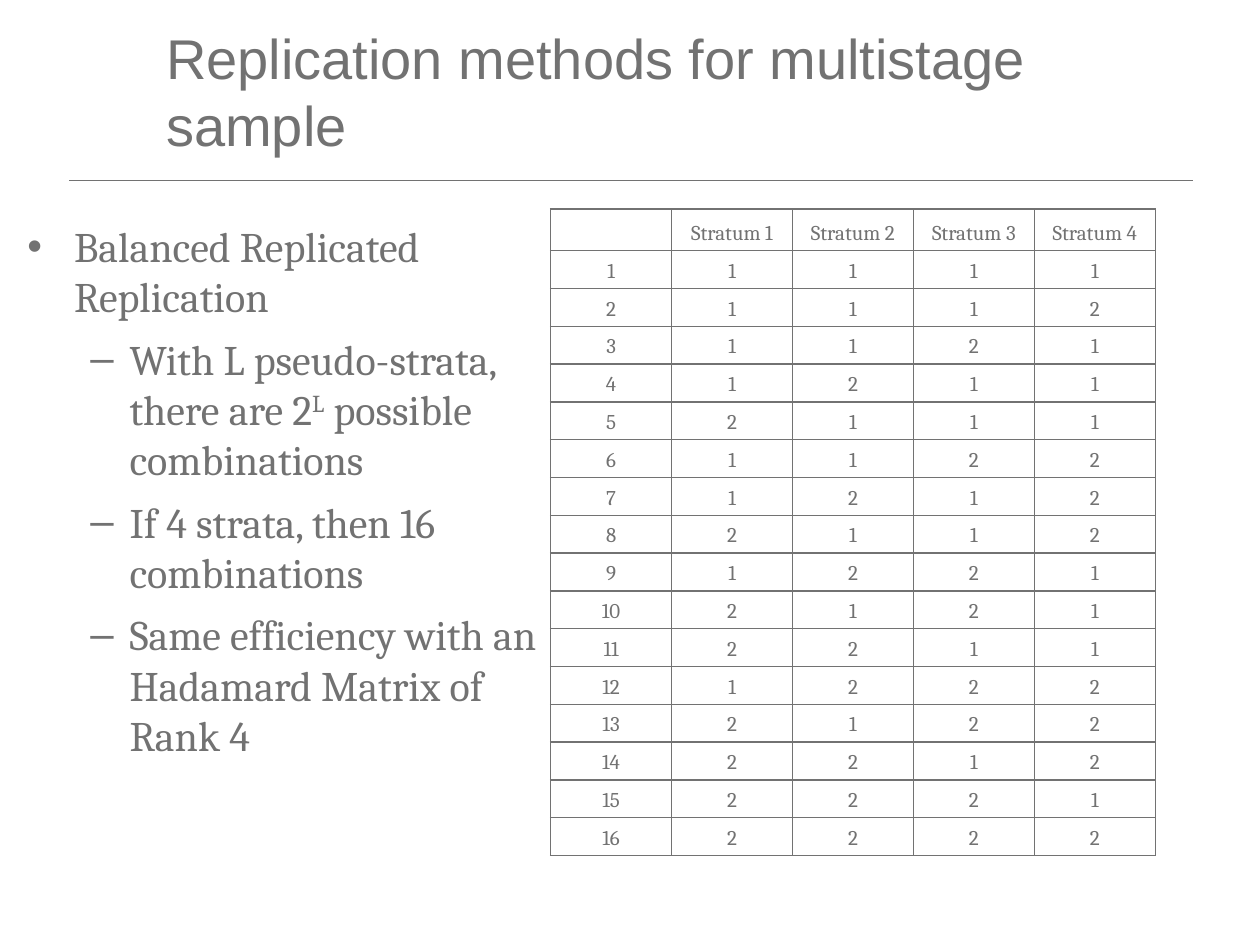
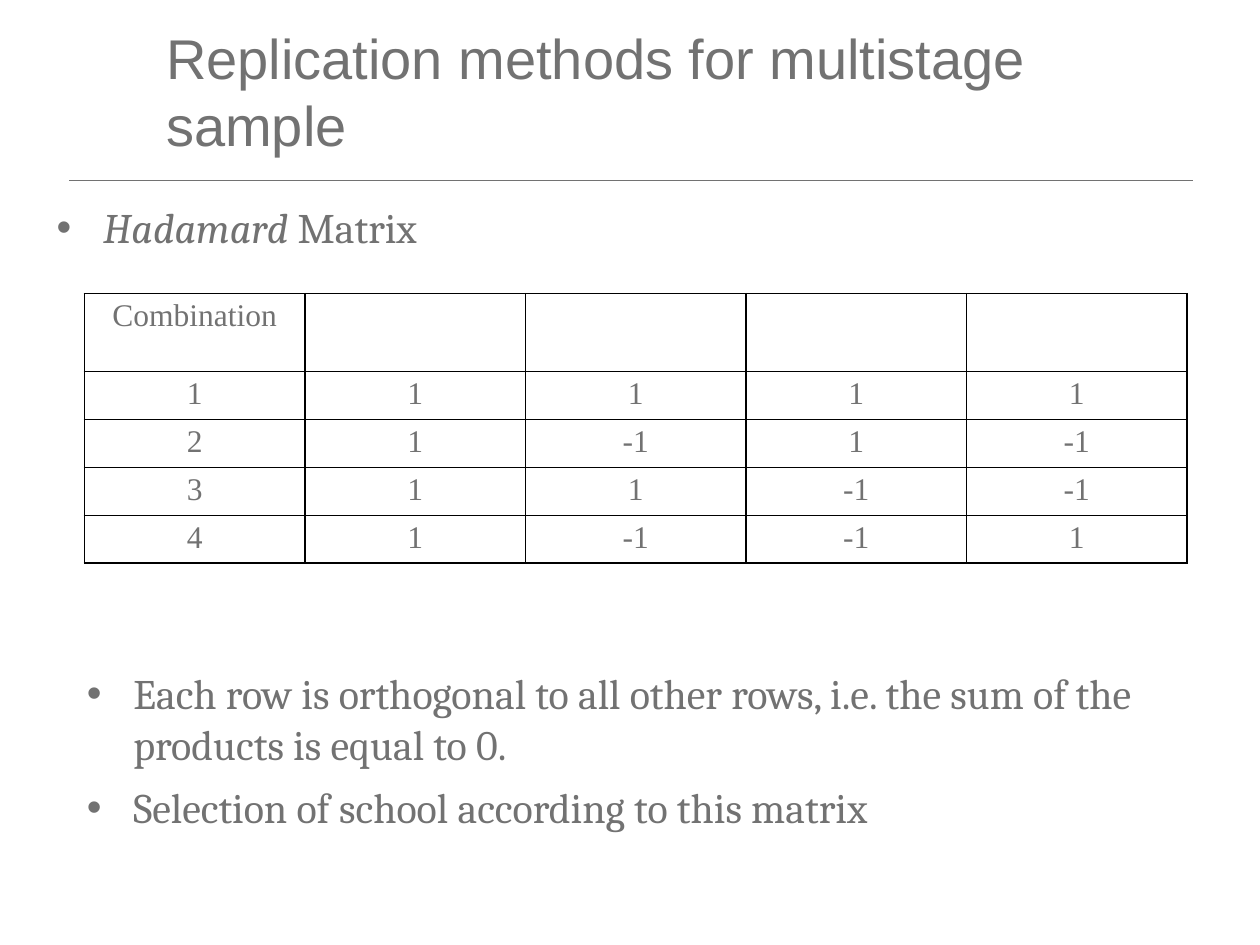
from itertools import product

from lxml.etree import SubElement
from pptx import Presentation
from pptx.dml.color import RGBColor
from pptx.enum.shapes import MSO_CONNECTOR
from pptx.enum.text import MSO_ANCHOR, PP_ALIGN
from pptx.oxml.ns import qn
from pptx.util import Inches, Pt

GRAY = "727272"
BLACK = "000000"
WHITE = "FFFFFF"
TITLE = "Replication methods for multistage sample"
LEVELS = (
    {"symbol": "•", "margin": 0.37, "hanging": 0.37, "space": 7.6},
    {"symbol": "–", "margin": 0.81, "hanging": 0.31, "space": 6.8},
)


def color(value):
    return RGBColor.from_string(value)


class Deck:
    title_font = "Arial"
    body_font = "Cambria"

    def __init__(self):
        self.presentation = Presentation()
        self.presentation.slide_width = Inches(10)
        self.presentation.slide_height = Inches(7.5)
        self.slide = None

    def add_slide(self, title):
        self.slide = self.presentation.slides.add_slide(self.presentation.slide_layouts[6])
        background = self.slide.background.fill
        background.solid()
        background.fore_color.rgb = color(WHITE)
        self.rule(0.55, 1.43, 8.92)
        frame = self.text_frame(1.22, 0.32, 8.58, 0.8, MSO_ANCHOR.MIDDLE)
        frame.text = title
        self.format_runs(frame.paragraphs[0], self.title_font, 32)

    def rule(self, left, top, width):
        line = self.slide.shapes.add_connector(
            MSO_CONNECTOR.STRAIGHT, Inches(left), Inches(top), Inches(left + width), Inches(top))
        line.line.color.rgb = color(GRAY)
        line.line.width = Pt(0.5)
        SubElement(line._element.spPr, qn("a:effectLst"))

    def text_frame(self, left, top, width, height, anchor=MSO_ANCHOR.TOP):
        box = self.slide.shapes.add_textbox(
            Inches(left), Inches(top), Inches(width), Inches(height))
        box.text_frame.word_wrap = True
        box.text_frame.vertical_anchor = anchor
        return box.text_frame

    def format_runs(self, paragraph, font, size):
        for run in paragraph.runs:
            run.font.name = font
            run.font.size = Pt(size)
            run.font.color.rgb = color(GRAY)

    def bullets(self, left, top, width, height, items):
        frame = self.text_frame(left, top, width, height)
        for index, (level, *parts) in enumerate(items):
            paragraph = frame.add_paragraph() if index else frame.paragraphs[0]
            for text, style in parts:
                run = paragraph.add_run()
                run.text = text
                if style == "italic":
                    run.font.italic = True
                if style == "superscript":
                    run._r.get_or_add_rPr().set("baseline", "30000")
            self.format_runs(paragraph, self.body_font, 24)
            self.bullet(paragraph, level)

    def bullet(self, paragraph, level):
        style = LEVELS[level]
        paragraph.level = level
        paragraph.space_before = Pt(style["space"])
        properties = paragraph._p.get_or_add_pPr()
        properties.set("marL", str(Inches(style["margin"])))
        properties.set("indent", str(-Inches(style["hanging"])))
        bullet_color = SubElement(properties, qn("a:buClr"))
        SubElement(bullet_color, qn("a:srgbClr"), val=GRAY)
        SubElement(properties, qn("a:buFont"), typeface="Arial")
        SubElement(properties, qn("a:buChar"), char=style["symbol"])

    def table(self, left, top, column_width, header_height, row_height, rows,
              font, size, border, anchor):
        columns = len(rows[0])
        height = header_height + row_height * (len(rows) - 1)
        table = self.slide.shapes.add_table(
            len(rows), columns, Inches(left), Inches(top),
            Inches(column_width * columns), Inches(height)).table
        table.first_row = table.horz_banding = False
        for column in table.columns:
            column.width = Inches(column_width)
        for index, values in enumerate(rows):
            table.rows[index].height = Inches(row_height if index else header_height)
            for cell, value in zip(table.rows[index].cells, values):
                cell.text = str(value)
                cell.vertical_anchor = anchor
                cell.margin_top = cell.margin_bottom = Inches(0.04)
                paragraph = cell.text_frame.paragraphs[0]
                paragraph.alignment = PP_ALIGN.CENTER
                self.format_runs(paragraph, font, size)
                paragraph._p.get_or_add_endParaRPr().set("sz", str(size * 100))
                self.borders(cell, border)
                cell.fill.background()

    def borders(self, cell, border):
        properties = cell._tc.get_or_add_tcPr()
        for side in ("lnL", "lnR", "lnT", "lnB"):
            line = SubElement(properties, qn(f"a:{side}"), w=str(Pt(1)))
            fill = SubElement(line, qn("a:solidFill"))
            SubElement(fill, qn("a:srgbClr"), val=border)


def replication_slide(deck):
    deck.add_slide(TITLE)
    combinations = sorted((choice[::-1] for choice in product((2, 1), repeat=4)), key=sum)
    header = [""] + [f"Stratum {number}" for number in range(1, 5)]
    rows = [header] + [[number, *strata] for number, strata in enumerate(combinations, 1)]
    deck.table(4.37, 1.66, 0.96, 0.33, 0.3, rows, deck.body_font, 12, GRAY, MSO_ANCHOR.BOTTOM)
    deck.bullets(0.12, 1.7, 4.33, 5.04, [
        (0, ("Balanced Replicated Replication", None)),
        (1, ("With L pseudo-strata, there are 2", None), ("L", "superscript"),
         (" possible combinations", None)),
        (1, ("If 4 strata, then 16 combinations", None)),
        (1, ("Same efficiency with an Hadamard Matrix of Rank 4", None)),
    ])


def hadamard_slide(deck):
    deck.add_slide(TITLE)
    deck.bullets(0.35, 1.55, 5.98, 0.51, [(0, ("Hadamard ", "italic"), ("Matrix", None))])
    rows = [["Combination", "", "", "", ""]]
    for row in range(4):
        signs = [(-1) ** bin(row & column).count("1") for column in range(4)]
        rows.append([row + 1, *signs])
    deck.table(0.67, 2.33, 1.75, 0.62, 0.38, rows, "Times New Roman", 18, BLACK, MSO_ANCHOR.TOP)
    deck.bullets(0.59, 5.25, 8.75, 1.57, [
        (0, ("Each row is orthogonal to all other rows, i.e. the sum of the products "
             "is equal to 0.", None)),
        (0, ("Selection of school according to this matrix", None)),
    ])


def main():
    deck = Deck()
    replication_slide(deck)
    hadamard_slide(deck)
    deck.presentation.save("out.pptx")


if __name__ == "__main__":
    main()
